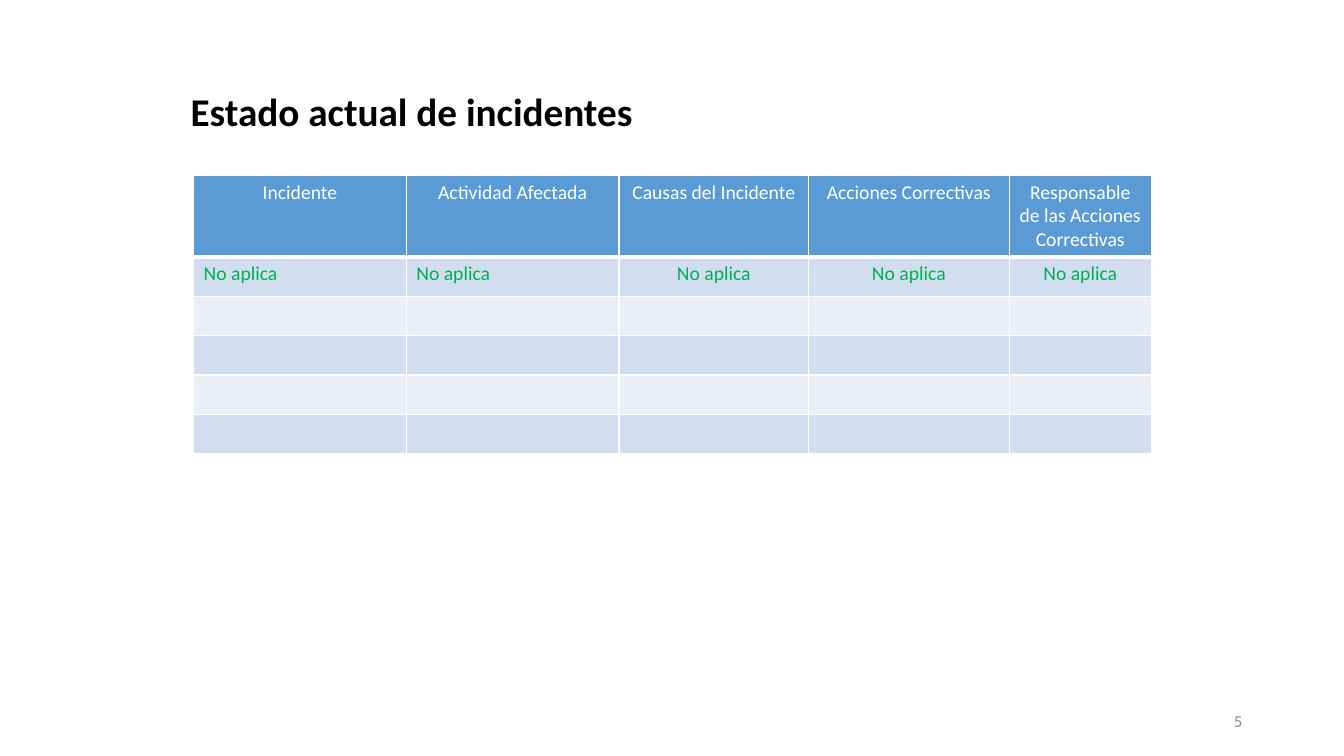
from lxml import etree
from pptx import Presentation
from pptx import util as u
from pptx.dml.color import RGBColor
from pptx.enum import text
from pptx.oxml.ns import qn

PX = u.Inches(1) // 100
FONT = "Calibri"
COLORS = {
    "title": "000000", "number": "8C8C8C", "header": "5B9BD5",
    "white": "FFFFFF", "answer": "00B050", "dark": "D2DEEF", "light": "EAEFF7",
}
LEFT, CENTER, RIGHT = text.PP_ALIGN.LEFT, text.PP_ALIGN.CENTER, text.PP_ALIGN.RIGHT

HEADERS = ["Incidente", "Actividad Afectada", "Causas del Incidente",
           "Acciones Correctivas", "Responsable de las Acciones Correctivas"]
ANSWERS = ["No aplica"] * len(HEADERS)
EMPTY_ROWS = 4
COLUMN_WIDTHS = [211, 211, 188, 199, 141]
HEADER_HEIGHT, ROW_HEIGHT = 81, 39


def to_emu(box):
    return [length * PX for length in box]


def format_para(para, size, color, align, bold=False):
    para.alignment = align
    para.font.name = FONT
    para.font.size = u.Pt(size)
    para.font.bold = bold
    para.font.color.rgb = RGBColor.from_string(COLORS[color])


def add_title(page, box, words):
    title = page.shapes.title
    title.left, title.top, title.width, title.height = to_emu(box)
    frame = title.text_frame
    frame.text = words
    frame.vertical_anchor = text.MSO_ANCHOR.MIDDLE
    frame.auto_size = text.MSO_AUTO_SIZE.NONE
    format_para(frame.paragraphs[0], 28, "title", LEFT, bold=True)


def add_page_number(page, box, number):
    frame = page.shapes.add_textbox(*to_emu(box)).text_frame
    frame.word_wrap = True
    frame.vertical_anchor = text.MSO_ANCHOR.MIDDLE
    frame.text = str(number)
    format_para(frame.paragraphs[0], 12, "number", RIGHT)


def set_borders(cell, top, bottom):
    properties = cell._tc.get_or_add_tcPr()
    widths = {"a:lnL": 1, "a:lnR": 1, "a:lnT": top, "a:lnB": bottom}
    for position, (side, width) in enumerate(widths.items()):
        line = etree.Element(qn(side), w=str(u.Pt(width)))
        fill = etree.SubElement(line, qn("a:solidFill"))
        etree.SubElement(fill, qn("a:srgbClr"), val=COLORS["white"])
        properties.insert(position, line)


def add_incident_table(page, box):
    rows = [HEADERS, ANSWERS] + [[""] * len(HEADERS)] * EMPTY_ROWS
    table = page.shapes.add_table(len(rows), len(HEADERS), *to_emu(box)).table
    for column, width in zip(table.columns, COLUMN_WIDTHS):
        column.width = width * PX

    for row_index, words in enumerate(rows):
        is_header = row_index == 0
        table.rows[row_index].height = (HEADER_HEIGHT if is_header else ROW_HEIGHT) * PX
        band = "header" if is_header else "dark" if row_index % 2 else "light"
        for column_index, word in enumerate(words):
            cell = table.cell(row_index, column_index)
            cell.text = word
            cell.fill.solid()
            cell.fill.fore_color.rgb = RGBColor.from_string(COLORS[band])
            # The first two answers are left-aligned
            align = CENTER if is_header or column_index > 1 else LEFT
            format_para(cell.text_frame.paragraphs[0], 14,
                        "white" if is_header else "answer", align)
            set_borders(cell, top=3 if row_index == 1 else 1,
                        bottom=3 if is_header else 1)


def main():
    deck = Presentation()
    deck.slide_width, deck.slide_height = to_emu((1333, 750))
    page = deck.slides.add_slide(deck.slide_layouts[5])

    # Heading
    add_title(page, (179, 90, 850, 39), "Estado actual de incidentes")
    # Incident table
    table_height = HEADER_HEIGHT + ROW_HEIGHT * (1 + EMPTY_ROWS)
    add_incident_table(page, (192, 174, sum(COLUMN_WIDTHS), table_height))
    # Footer
    add_page_number(page, (942, 695, 300, 40), 5)

    deck.save("out.pptx")


if __name__ == "__main__":
    main()
